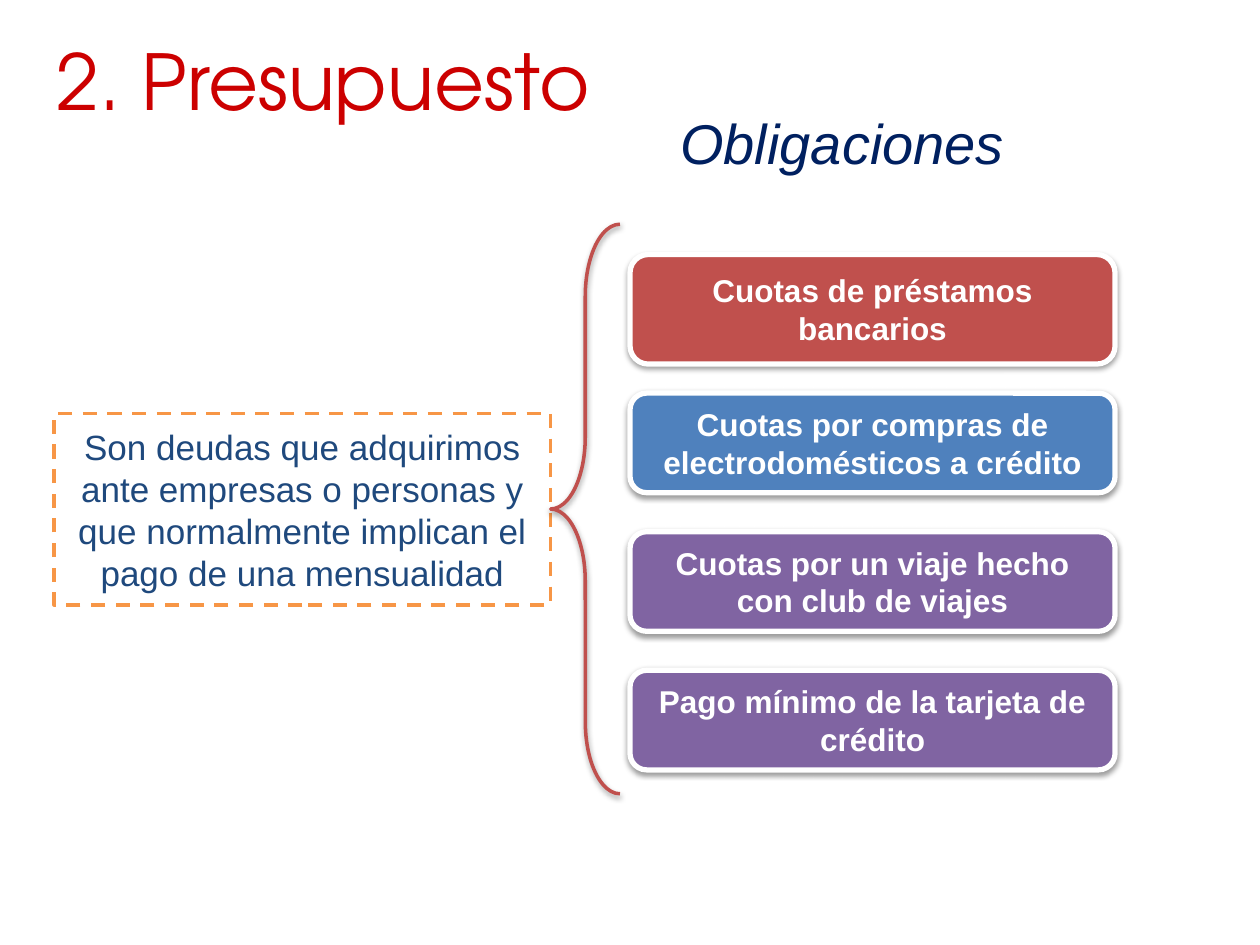
"""Build the slide on budget obligations."""
from lxml.etree import SubElement
from pptx import Presentation
from pptx.dml.color import RGBColor
from pptx.enum.dml import MSO_LINE
from pptx.enum.shapes import MSO_SHAPE
from pptx.enum.text import MSO_ANCHOR, PP_ALIGN
from pptx.oxml.ns import qn
from pptx.util import Inches, Pt

WHITE = RGBColor(0xFF, 0xFF, 0xFF)
BLACK = RGBColor(0x00, 0x00, 0x00)
RED = RGBColor(0xC0, 0x50, 0x4D)
BLUE = RGBColor(0x4F, 0x81, 0xBD)
PURPLE = RGBColor(0x80, 0x64, 0xA2)
ORANGE = RGBColor(0xF7, 0x96, 0x46)
DARK_BLUE = RGBColor(0x1F, 0x49, 0x7D)
NAVY = RGBColor(0x00, 0x20, 0x60)
TITLE_RED = RGBColor(0xCC, 0x00, 0x00)


def write_text(frame, text, size=18, color=WHITE, font="Arial",
               align=PP_ALIGN.CENTER, bold=False, italic=False):
    frame.word_wrap = True
    frame.vertical_anchor = MSO_ANCHOR.MIDDLE
    paragraph = frame.paragraphs[0]
    paragraph.alignment = align
    run = paragraph.add_run()
    run.text = text
    run.font.name = font
    run.font.size = Pt(size)
    run.font.bold = bold
    run.font.italic = italic
    run.font.color.rgb = color


class SlideStyle:
    def __init__(self, slide):
        self.slide = slide

    def outline(self, kind, box, line, width, fill=None, shadow=True):
        shape = self.slide.shapes.add_shape(kind, *map(Inches, box))
        shape.shadow.inherit = False
        if fill is None:
            shape.fill.background()
        else:
            shape.fill.solid()
            shape.fill.fore_color.rgb = fill
        shape.line.color.rgb = line
        shape.line.width = Pt(width)
        if shadow:
            self.drop_shadow(shape)
        return shape

    def drop_shadow(self, shape):
        effects = shape.element.spPr.find(qn("a:effectLst"))
        outer = SubElement(effects, qn("a:outerShdw"), blurRad="40000",
                           dist="20000", dir="5400000", rotWithShape="0")
        tint = SubElement(outer, qn("a:srgbClr"), val=str(BLACK))
        SubElement(tint, qn("a:alpha"), val="38000")

    def heading(self, box, text, **style):
        label = self.slide.shapes.add_textbox(*map(Inches, box))
        write_text(label.text_frame, text, **style)

    def definition(self, box, text):
        panel = self.outline(MSO_SHAPE.RECTANGLE, box, ORANGE, 2, WHITE, False)
        panel.line.dash_style = MSO_LINE.DASH
        write_text(panel.text_frame, text, size=20, color=DARK_BLUE)

    def brace(self, box):
        bracket = self.outline(MSO_SHAPE.LEFT_BRACE, box, RED, 2)
        bracket.adjustments[0] = 1.04

    def obligation(self, box, text, fill):
        card = self.outline(MSO_SHAPE.ROUNDED_RECTANGLE, box, WHITE, 3, fill)
        write_text(card.text_frame, text, bold=True)


def main():
    deck = Presentation()
    deck.slide_width, deck.slide_height = Inches(10), Inches(7.5)
    page = SlideStyle(deck.slides.add_slide(deck.slide_layouts[6]))

    page.definition((0.43, 3.28, 3.94, 1.52),
                    "Son deudas que adquirimos ante empresas o personas y que "
                    "normalmente implican el pago de una mensualidad")
    page.brace((4.37, 1.78, 0.55, 4.52))
    page.heading((3.77, 0.84, 4.3, 0.58), "Obligaciones", size=32,
                 color=NAVY, align=PP_ALIGN.RIGHT, italic=True)
    page.heading((0.35, 0.21, 9, 0.85), "2. Presupuesto", size=44,
                 color=TITLE_RED, font="TeX Gyre Adventor",
                 align=PP_ALIGN.LEFT)

    obligations = [
        ("Cuotas de préstamos bancarios", RED, 0.87),
        ("Cuotas por compras de electrodomésticos a crédito", BLUE, 0.79),
        ("Cuotas por un viaje hecho con club de viajes", PURPLE, 0.79),
        ("Pago mínimo de la tarjeta de crédito", PURPLE, 0.79),
    ]
    for row, (text, fill, height) in enumerate(obligations):
        page.obligation((5, 2.02 + 1.1 * row, 3.85, height), text, fill)

    deck.save("out.pptx")


if __name__ == "__main__":
    main()
